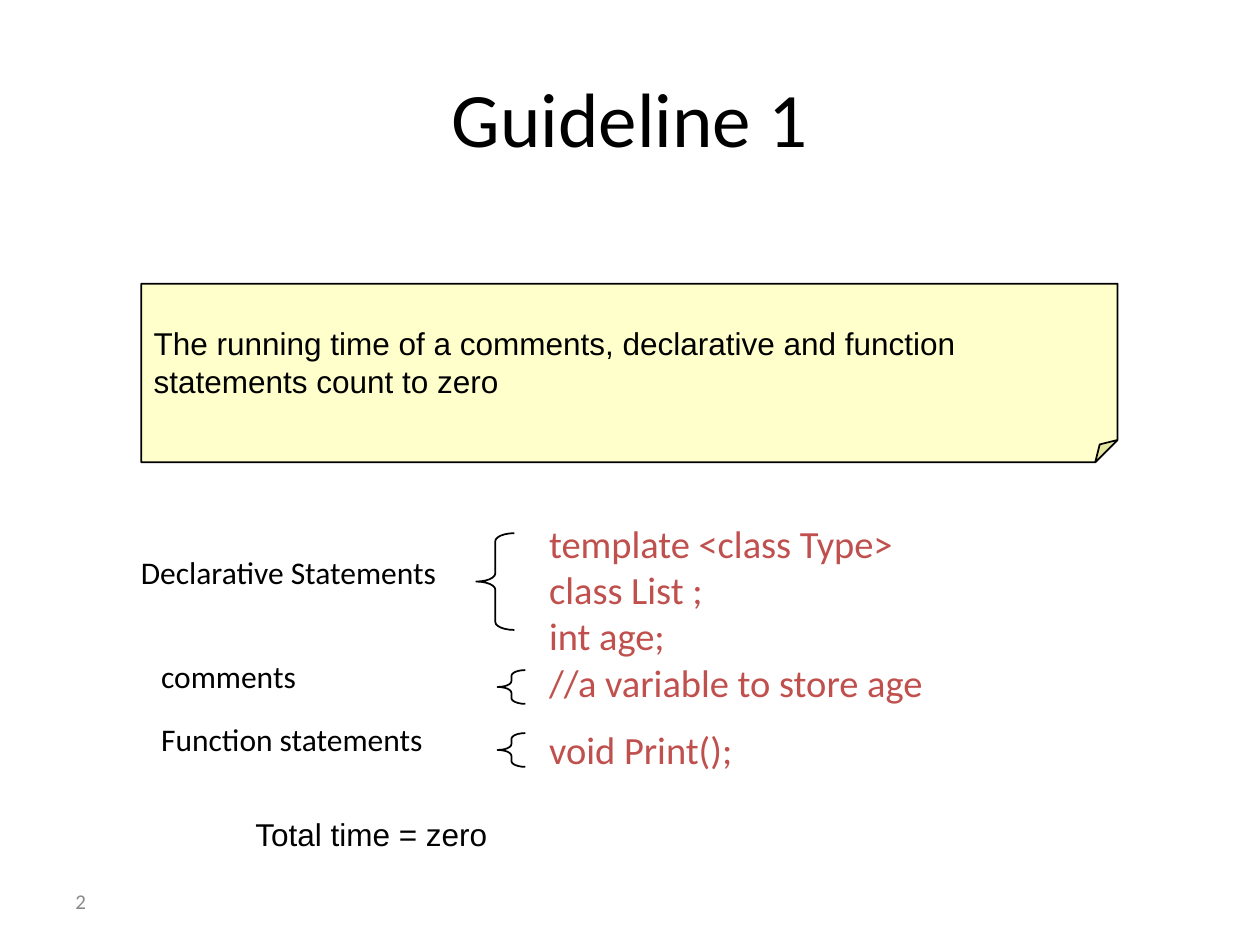
from lxml import etree
from pptx import Presentation
from pptx import util as u
from pptx.dml import color
from pptx.enum import shapes, text
from pptx.oxml import ns

BLACK, RED, GREY, YELLOW = "000000", "C0504D", "898989", "FFFF99"


def rgb(value):
    return color.RGBColor.from_string(value)


def box(left, top, width, height):
    return [u.Cm(length) for length in (left, top, width, height)]


def write(paragraph, words, size, font="Calibri", ink=BLACK):
    run = paragraph.add_run()
    run.text = words
    run.font.size = u.Pt(size)
    run.font.name = font
    run.font.color.rgb = rgb(ink)


def outline(shape):
    shape.shadow.inherit = False
    shape.line.color.rgb = rgb(BLACK)
    shape.line.width = u.Pt(1)


def add_title(slide, words):
    title = slide.shapes.title
    title.left, title.top, title.width, title.height = box(1.27, 0.76, 22.86, 3.18)
    frame = title.text_frame
    frame.vertical_anchor = text.MSO_ANCHOR.MIDDLE
    frame.paragraphs[0].alignment = text.PP_ALIGN.CENTER
    write(frame.paragraphs[0], words, 44)


def add_text(parent, place, lines, size, font="Calibri", ink=BLACK, wrap=False):
    frame = parent.add_textbox(*box(*place)).text_frame
    frame.word_wrap = wrap
    for index, words in enumerate(lines):
        paragraph = frame.add_paragraph() if index else frame.paragraphs[0]
        write(paragraph, words, size, font, ink)
    return frame


def add_rule_note(slide, place, words):
    note = slide.shapes.add_shape(shapes.MSO_SHAPE.FOLDED_CORNER, *box(*place))
    guides = next(note.element.iter(ns.qn("a:avLst")))
    etree.SubElement(guides, ns.qn("a:gd"), name="adj", fmla="val 12500")
    outline(note)
    note.fill.solid()
    note.fill.fore_color.rgb = rgb(YELLOW)
    tint = next(note.element.spPr.iter(ns.qn("a:srgbClr")))
    etree.SubElement(tint, ns.qn("a:alpha"), val="50000")
    frame = note.text_frame
    frame.word_wrap = True
    frame.vertical_anchor = text.MSO_ANCHOR.MIDDLE
    frame.paragraphs[0].alignment = text.PP_ALIGN.LEFT
    write(frame.paragraphs[0], words, 18, "Arial")


def add_braced_label(slide, words, label_place, brace_place):
    pair = slide.shapes.add_group_shape().shapes
    add_text(pair, label_place, [words], 18)
    brace = pair.add_shape(shapes.MSO_SHAPE.LEFT_BRACE, *box(*brace_place))
    brace.adjustments[0] = 0.21
    brace.fill.background()
    outline(brace)


def main():
    deck = Presentation()
    deck.slide_width, deck.slide_height = u.Cm(25.4), u.Cm(19.05)
    slide = deck.slides.add_slide(deck.slide_layouts[5])

    number = add_text(slide.shapes, (1.27, 17.65, 5.92, 1.02), ["2"], 12, ink=GREY, wrap=True)
    number.vertical_anchor = text.MSO_ANCHOR.MIDDLE
    add_title(slide, "Guideline 1")
    add_rule_note(slide, (2.85, 5.72, 19.68, 3.6),
                  "The running time of a comments, declarative and function "
                  "statements count to zero")

    code_lines = ["template <class Type>", "class List ;", "int age;",
                  "//a variable to store age", "void Print();"]
    code = add_text(slide.shapes, (10.82, 10.36, 9.93, 5.33), code_lines, 22, ink=RED, wrap=True)
    code.paragraphs[-1].space_before = u.Pt(12)

    add_braced_label(slide, "Declarative Statements",
                     (2.59, 11.02, 6.5, 1.02), (9.6, 10.75, 0.77, 1.95))
    for words, top, width in (("comments", 13.13, 3.23), ("Function statements", 14.4, 5.82)):
        add_braced_label(slide, words, (3, top, width, 1.02), (10.03, top + 0.38, 0.56, 0.68))
    add_text(slide.shapes, (4.9, 16.31, 5.26, 1.02), ["Total time = zero"], 18, "Arial")

    deck.save("out.pptx")


if __name__ == "__main__":
    main()
